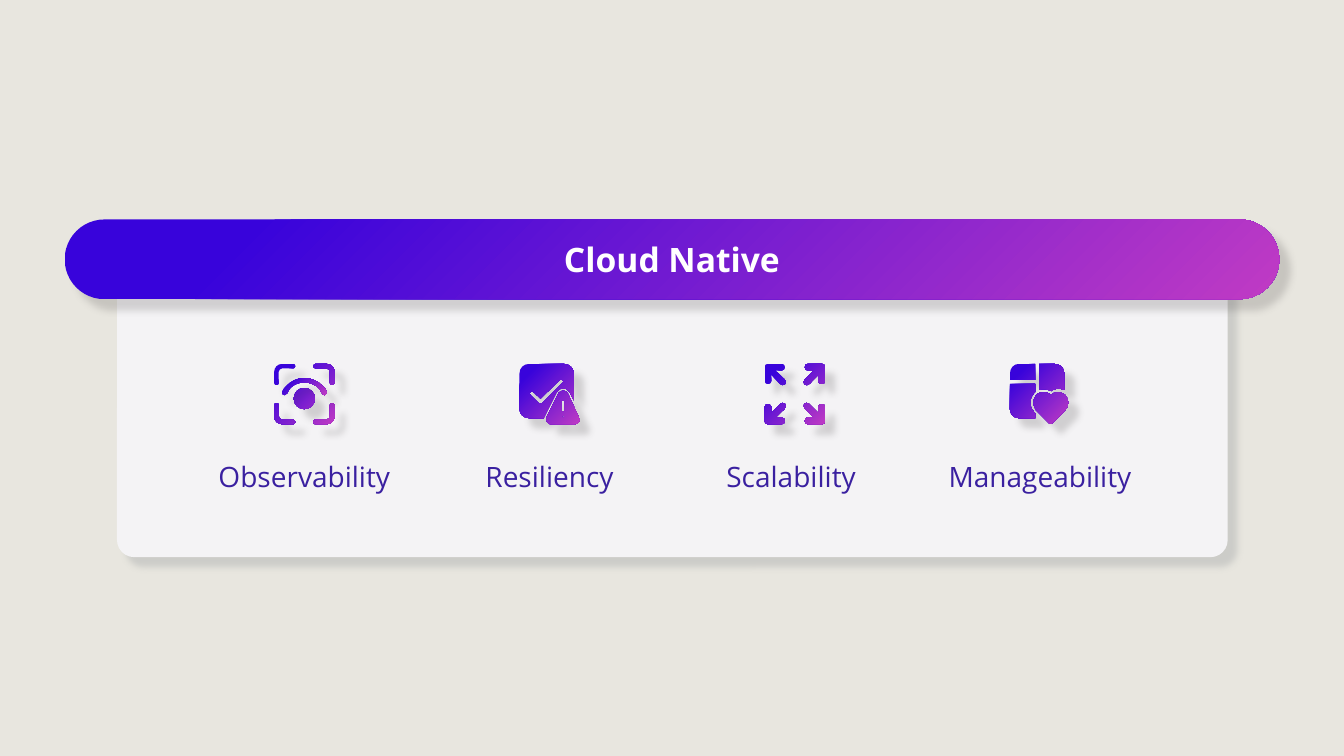
from lxml import etree
from pptx import Presentation
from pptx import util as u
from pptx.dml.color import RGBColor
from pptx.enum import shapes, text
from pptx.oxml import parse_xml
from pptx.oxml.ns import nsdecls, qn

SAND = RGBColor(0xE8, 0xE6, 0xDF)
PANEL = RGBColor(0xF4, 0xF3, 0xF5)
PANEL_SHADOW = RGBColor(0xB1, 0xB3, 0xB3)
SHADOW = RGBColor(0x45, 0x41, 0x42)
PINK = RGBColor(0xC0, 0x3B, 0xC4)
BLUE = RGBColor(0x38, 0x03, 0xDB)
INDIGO = RGBColor(0x3A, 0x20, 0xA0)
WHITE = RGBColor(0xFF, 0xFF, 0xFF)
FONT = "Open Sans"
GRID = 60
ICON_SIZE = u.Cm(1.52)


def pairs(step):
    return list(zip(step[::2], step[1::2]))


def circle(x, y, r):
    k = 0.55 * r
    return [(x - r, y), (x - r, y - k, x - k, y - r, x, y - r),
            (x + k, y - r, x + r, y - k, x + r, y),
            (x + r, y + k, x + k, y + r, x, y + r),
            (x - k, y + r, x - r, y + k, x - r, y)]


def mirror(outline, right, low):
    flips = (right, low)
    return [tuple(GRID - value if flips[index % 2] else value
                  for index, value in enumerate(step)) for step in outline]


def four_corners(outline):
    return [mirror(outline, right, low) for right in (False, True) for low in (False, True)]


BRACKET = [
    (21, 2.3), (21, 1, 20, 0, 19, 0), (8, 0), (3, 0, 0, 4, 0, 8), (0, 19),
    (0, 20, 1, 21, 2.3, 21), (4, 21, 4.5, 20, 4.5, 19), (4.5, 8),
    (5, 6, 6, 4.5, 8, 4.5), (19, 4.5), (20, 4.5, 21, 3.5, 21, 2.3)]
EYELID = [
    (13, 29), (12, 30, 11, 31, 10, 31), (8, 30.5, 7.5, 29, 8, 28),
    (8.5, 27, 9, 26, 9.5, 25), (10, 24, 12, 22, 13, 21), (16, 18, 22, 14, 30, 14),
    (38, 14, 44, 18, 47, 21), (48, 22, 50, 24, 51, 25), (51.5, 26, 52, 27, 52, 28),
    (52, 29, 51.5, 31, 50, 31), (49, 31, 48, 30, 47.5, 29),
    (46.5, 27, 45.5, 25.5, 44, 24), (41, 21, 37, 18.5, 30, 18.5),
    (23, 18.5, 19, 21, 16, 24), (14.5, 25.5, 14, 27, 13, 29)]
TILE = [
    (10, 0), (4, 0, 0, 4, 0, 10), (0, 44), (0, 50, 4, 54, 10, 54), (24, 54),
    (24, 53, 24, 53, 25, 52), (37, 28), (40, 23, 47, 23, 50, 28), (54, 36), (54, 10),
    (54, 4, 50, 0, 44, 0)]
CHECK = [
    (43, 19), (23, 39), (22, 40, 20, 40, 19, 39), (11, 31), (10, 30, 10, 29, 11, 28),
    (12, 27, 13, 27, 14, 28), (21, 34.5), (40, 16), (41, 15, 42, 15, 43, 16),
    (44, 17, 44, 18, 43, 19)]
WARNING = [
    (39, 29), (27, 53), (26, 56, 28, 60, 31, 60), (55, 60), (59, 60, 61, 56, 59, 53),
    (48, 29), (46, 26, 41, 26, 39, 29)]
WARNING_BAR = [
    (45, 37), (45, 46), (45, 47, 44, 48, 43.5, 48), (43, 48, 42, 47, 42, 46), (42, 37),
    (42, 37, 43, 36, 43.5, 36), (44, 36, 45, 37, 45, 37)]
ARROW = [
    (17, 0), (19, 0, 20, 1, 20, 3.3), (20, 5, 19, 6.7, 17, 6.7), (11, 6.7), (20, 15.5),
    (21.5, 17, 21.5, 19, 20.5, 20), (19, 21.5, 17, 21.5, 15.5, 20), (6.7, 11), (6.7, 17),
    (6.7, 18.5, 5, 20, 3.5, 20), (1.5, 20, 0, 19, 0, 17), (0, 3), (0, 1, 1.5, 0, 3, 0)]
LOWER_PANE = [
    (25, 54), (25, 49), (24, 48), (19, 43, 19, 34, 24, 29), (24.5, 29, 25, 28.5, 25, 28),
    (25, 20), (0, 20), (0, 45), (0, 50, 4, 54, 9, 54)]
RIGHT_PANE = [
    (54, 10), (54, 26), (50, 24, 45, 24, 41, 27), (37, 25, 33, 24, 29, 26), (29, 0),
    (44, 0), (50, 0, 54, 4, 54, 9)]
UPPER_PANE = [(25, 16), (25, 0), (9, 0), (4, 0, 0, 4, 0, 10), (0, 16)]
HEART = [
    (25, 44), (23, 41, 23, 36, 25, 33), (25, 32, 26, 32, 26, 31), (27, 30, 28, 29, 29, 29),
    (33, 27, 37, 28, 41, 31), (45, 27, 50, 27, 55, 31), (59, 35, 59, 42, 55, 46),
    (42, 59), (41.5, 60, 40, 60, 39, 59), (26, 46), (26, 45, 25, 45, 25, 44)]

FEATURES = {
    "Observability": [four_corners(BRACKET) + [circle(30, 34.5, 10.5)], [EYELID]],
    "Resiliency": [[TILE, CHECK, WARNING, WARNING_BAR, circle(43.5, 52.5, 1.5)]],
    "Scalability ": [four_corners(ARROW)],
    "Manageability": [[LOWER_PANE, RIGHT_PANE, HEART, UPPER_PANE]],
}


def add_gradient(shape):
    shape.fill.background()
    fill = shape._element.spPr.find(qn("a:noFill"))
    fill.getparent().replace(fill, parse_xml(
        f'<a:gradFill {nsdecls("a")} rotWithShape="1"><a:gsLst>'
        f'<a:gs pos="0"><a:srgbClr val="{PINK}"/></a:gs>'
        f'<a:gs pos="85000"><a:srgbClr val="{BLUE}"/></a:gs></a:gsLst>'
        '<a:path path="circle"><a:fillToRect l="100000" t="100000"/></a:path>'
        '</a:gradFill>'))


def finish(shape, color, opacity):
    shape.line.fill.background()
    shape.shadow.inherit = False
    effects = shape._element.spPr.find(qn("a:effectLst"))
    shadow = etree.SubElement(effects, qn("a:outerShdw"), blurRad=str(u.Pt(5)),
                              dist=str(u.Pt(10)), dir="2700000", algn="tl",
                              rotWithShape="0")
    tint = etree.SubElement(shadow, qn("a:srgbClr"), val=str(color))
    etree.SubElement(tint, qn("a:alpha"), val=str(opacity * 1000))


def write(shape, words, color, **formats):
    para = shape.text_frame.paragraphs[0]
    para.alignment = text.PP_ALIGN.CENTER
    span = para.add_run()
    span.text = words
    for name, value in {"name": FONT, **formats}.items():
        setattr(span.font, name, value)
    span.font.color.rgb = color


def bend(shape, outlines):
    lines = shape._element.spPr.iter(qn("a:lnTo"))
    lines = iter(list(lines))
    for step in (step for outline in outlines for step in outline[1:]):
        group = [next(lines) for _ in pairs(step)]
        if len(group) == 3:
            curve = etree.Element(qn("a:cubicBezTo"))
            group[0].addprevious(curve)
            for line in group:
                curve.append(line[0])
                line.getparent().remove(line)


def add_icon(page, left, top, parts):
    unit = ICON_SIZE / GRID
    for outlines in parts:
        builder = page.shapes.build_freeform(*(v * unit for v in outlines[0][0]))
        for index, outline in enumerate(outlines):
            points = [(x * unit, y * unit) for step in outline for x, y in pairs(step)]
            if index:
                builder.move_to(*points[0])
            builder.add_line_segments(points[1:], close=True)
        icon = builder.convert_to_shape(left, top)
        bend(icon, outlines)
        add_gradient(icon)
        finish(icon, SHADOW, 20)


def add_feature(page, center, top, name, parts):
    add_icon(page, center - ICON_SIZE // 2, top, parts)
    width = u.Cm(5.6)
    label = page.shapes.add_textbox(center - width // 2, top + u.Cm(2.28), width, u.Cm(1.12))
    label.text_frame.word_wrap = True
    write(label, name, INDIGO, size=u.Pt(20))


def add_panel(page, left, top, width, height):
    panel = page.shapes.add_shape(shapes.MSO_SHAPE.ROUNDED_RECTANGLE, left, top, width, height)
    panel.adjustments[0] = 0.058
    panel.fill.solid()
    panel.fill.fore_color.rgb = PANEL
    finish(panel, PANEL_SHADOW, 50)
    for index, (name, parts) in enumerate(FEATURES.items()):
        center = left + u.Cm(4.72) + index * u.Cm(6.18)
        add_feature(page, center, top + u.Cm(2.57), name, parts)


def add_title_bar(page, left, top, width, height):
    bar = page.shapes.add_shape(shapes.MSO_SHAPE.ROUNDED_RECTANGLE, left, top, width, height)
    bar.adjustments[0] = 0.5
    add_gradient(bar)
    finish(bar, SHADOW, 20)
    formats = {"margin_left": 0, "margin_right": 0, "margin_top": 0, "margin_bottom": 0,
               "word_wrap": True, "vertical_anchor": text.MSO_ANCHOR.MIDDLE}
    for name, value in formats.items():
        setattr(bar.text_frame, name, value)
    write(bar, "Cloud Native", WHITE, size=u.Pt(24), bold=True)


def main():
    deck = Presentation()
    deck.slide_width, deck.slide_height = u.Cm(33.87), u.Cm(19.05)
    page = deck.slides.add_slide(deck.slide_layouts[6])
    page.background.fill.solid()
    page.background.fill.fore_color.rgb = SAND
    add_panel(page, u.Cm(2.95), u.Cm(6.6), u.Cm(27.99), u.Cm(7.44))
    add_title_bar(page, u.Cm(1.63), u.Cm(5.53), u.Cm(30.61), u.Cm(2.01))
    deck.save("out.pptx")


if __name__ == "__main__":
    main()
